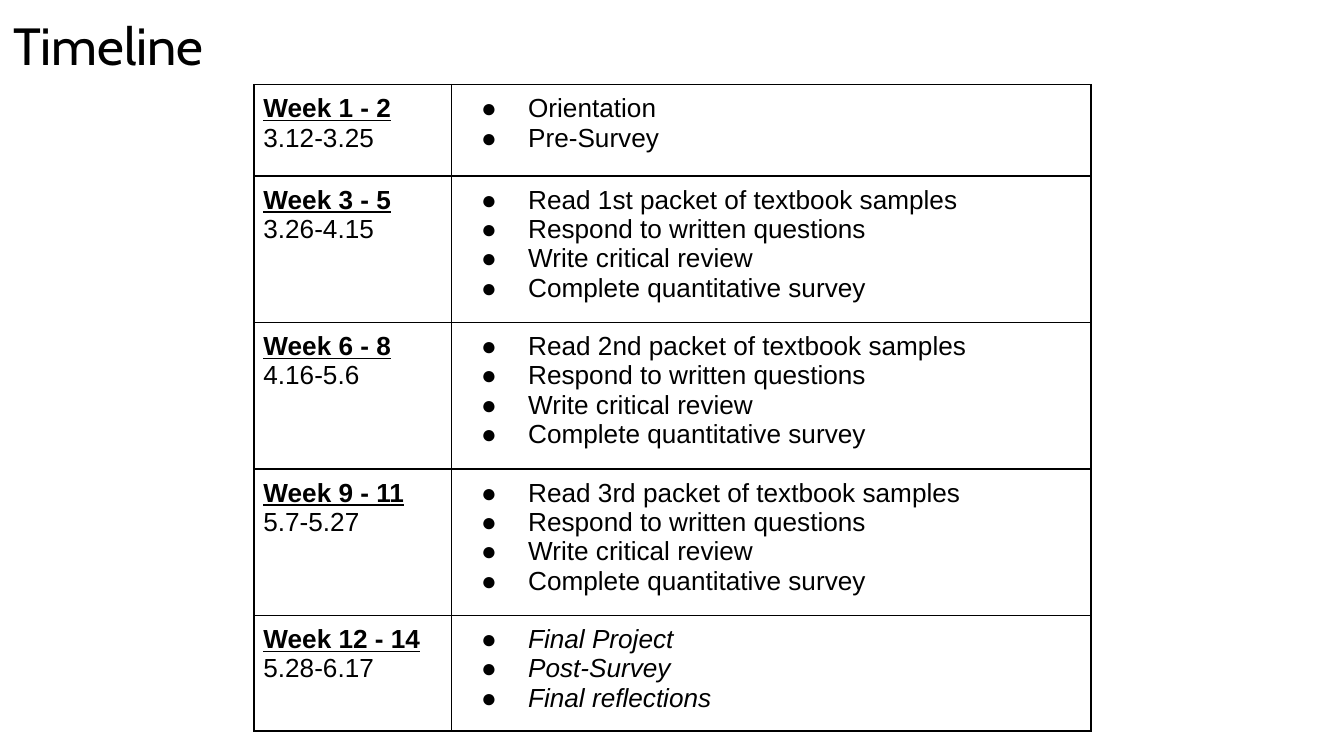
from lxml.etree import SubElement as Sub
from pptx import Presentation
from pptx.dml.color import RGBColor as RGB
from pptx.enum.text import MSO_ANCHOR as Anchor
from pptx.oxml.ns import qn
from pptx.util import Inches as In, Pt

HUE = {"ink": "000000", "page": "FFFFFF"}
TITLE = "Timeline"


def tasks(nth):
    return [f"Read {nth} packet of textbook samples",
            "Respond to written questions",
            "Write critical review",
            "Complete quantitative survey"]


# weeks, dates, tasks, row height, task style
PLAN = [
    ("Week 1 - 2", "3.12-3.25", ["Orientation", "Pre-Survey"], 0.68, {}),
    ("Week 3 - 5", "3.26-4.15", tasks("1st"), 1.09, {}),
    ("Week 6 - 8", "4.16-5.6", tasks("2nd"), 1.09, {}),
    ("Week 9 - 11", "5.7-5.27", tasks("3rd"), 1.09, {}),
    ("Week 12 - 14", "5.28-6.17",
     ["Final Project", "Post-Survey", "Final reflections"], 0.86,
     {"italic": True}),
]
WIDE = 10
HIGH = WIDE * 9 / 16
COLS = [1.47, 4.76]
LEFT, TOP = 1.89, 0.63
HEAD = {"name": "Cabin", "size": Pt(28)}
BODY = {"name": "Arial", "size": Pt(14)}
WEEK = {"bold": True, "underline": True}
SIDES = ["left", "top", "right", "bottom"]


def pad(box, gap):
    for side in SIDES:
        setattr(box, f"margin_{side}", In(gap))


def write(para, text, style):
    run = para.add_run()
    run.text = text
    for key, val in style.items():
        setattr(run.font, key, val)
    run.font.color.rgb = RGB.from_string(HUE["ink"])


def tint(node, tag):
    Sub(Sub(node, qn(tag)), qn("a:srgbClr"), val=HUE["ink"])


def bullet(para):
    props = para._p.get_or_add_pPr()
    props.set("marL", str(In(0.5)))
    props.set("indent", str(In(-0.35)))
    tint(props, "a:buClr")
    Sub(props, qn("a:buFont"), typeface=BODY["name"])
    Sub(props, qn("a:buChar"), char="●")


def fill(cell, lines, dots=False):
    """Put (text, style) lines in a bordered cell, with or without bullets."""
    pad(cell, 0.07)
    cell.vertical_anchor = Anchor.TOP
    frame = cell.text_frame
    for i, (text, style) in enumerate(lines):
        para = frame.add_paragraph() if i else frame.paragraphs[0]
        if dots:
            bullet(para)
        write(para, text, BODY | style)
    props = cell._tc.get_or_add_tcPr()
    for side in "LRTB":
        tint(Sub(props, qn(f"a:ln{side}"), w=str(Pt(1))), "a:solidFill")
    cell.fill.background()


deck = Presentation()
deck.slide_width, deck.slide_height = In(WIDE), In(HIGH)
slide = deck.slides.add_slide(deck.slide_layouts[6])
back = slide.background.fill
back.solid()
back.fore_color.rgb = RGB.from_string(HUE["page"])

frame = slide.shapes.add_textbox(0, 0, In(9.32), In(TOP)).text_frame
frame.word_wrap = True
pad(frame, 0.1)
write(frame.paragraphs[0], TITLE, HEAD)

tall = sum(row[3] for row in PLAN)
grid = slide.shapes.add_table(len(PLAN), len(COLS), In(LEFT), In(TOP),
                              In(sum(COLS)), In(tall)).table
grid.first_row = grid.horz_banding = False
for col, wide in zip(grid.columns, COLS):
    col.width = In(wide)
for row, (week, dates, jobs, deep, style) in zip(grid.rows, PLAN):
    row.height = In(deep)
    when, what = row.cells
    fill(when, [(week, WEEK), (dates, {})])
    fill(what, [(job, style) for job in jobs], dots=True)

deck.save("out.pptx")
